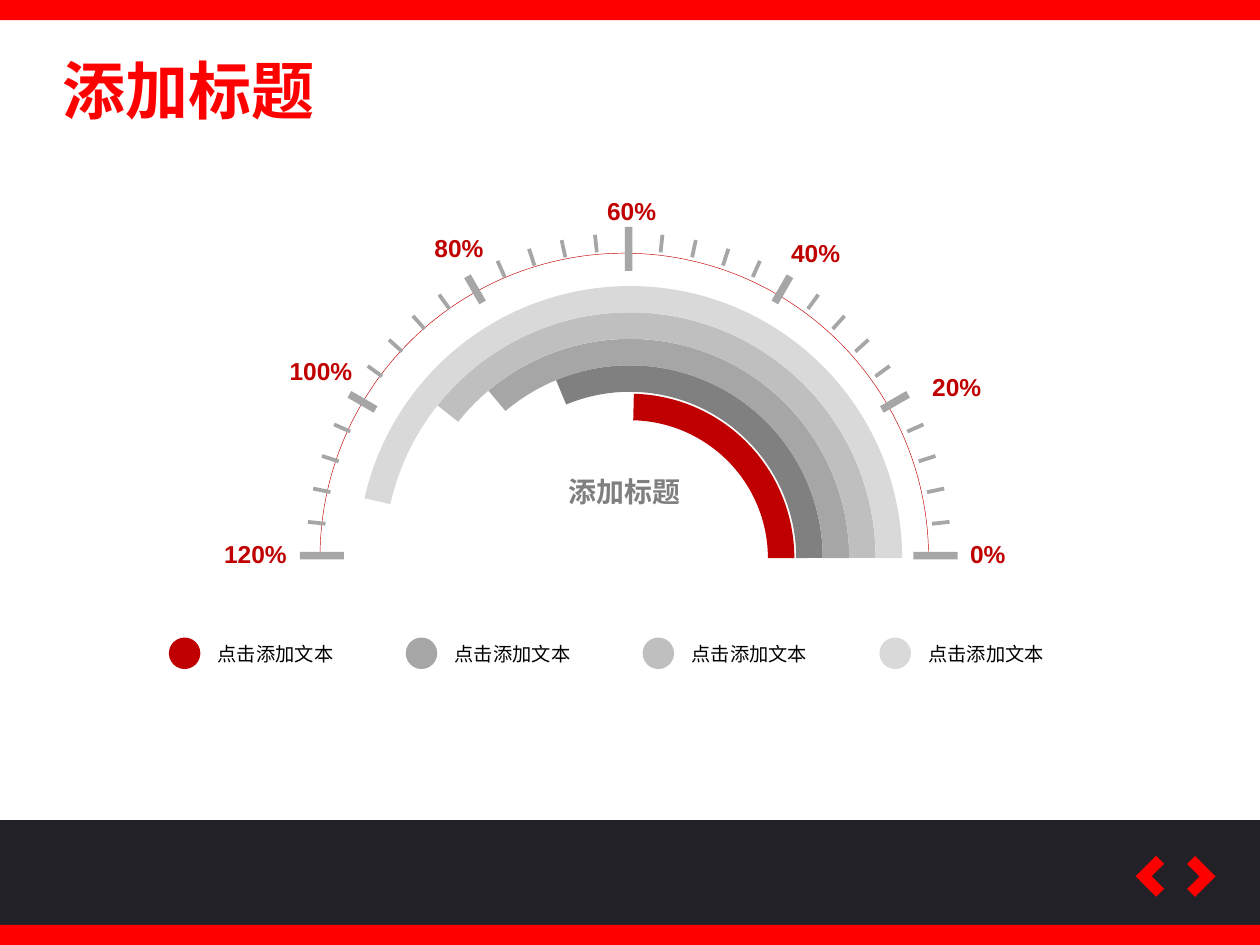
from math import cos, radians, sin

from lxml import etree
from pptx import Presentation
from pptx import util as u
from pptx.dml.color import RGBColor
from pptx.enum import shapes, text
from pptx.oxml.ns import qn

W, H = 10, 7.5
RED, DARK_RED, TICK = "FF0000", "C00000", "A6A6A6"
CJK, LATIN = "Noto Sans CJK SC", "Arial"
SHAPE = shapes.MSO_SHAPE

TITLE = "添加标题"
BANDS = [(0, 0.16, RED), (6.51, 0.84, "222127"), (7.34, 0.16, RED)]
CHEVRONS = [(9.06, 45), (9.37, 225)]
CHEVRON_TOP, CHEVRON_SIZE, CHEVRON_ARM = 6.84, 0.23, 0.09
RINGS = [
    (3.06, 247.46, "808080"),
    (3.48, 229.8, "A6A6A6"),
    (3.9, 218.44, "BFBFBF"),
    (4.32, 192.71, "D9D9D9"),
    (2.61, 271.37, DARK_RED),
]
RING_CENTRE, RING_WIDTH = (5, 4.43), 0.21
LEGEND = [(colour, "点击添加文本") for colour in (DARK_RED, "A6A6A6", "BFBFBF", "D9D9D9")]
LEGEND_LEFT, LEGEND_TOP, LEGEND_PITCH = 1.34, 5.06, 1.88
SCALE_LABELS = [
    ("0%", 7.6, 4.23, 0.49),
    ("20%", 7.3, 2.9, 0.59),
    ("40%", 6.18, 1.84, 0.59),
    ("60%", 4.72, 1.51, 0.6),
    ("80%", 3.35, 1.8, 0.6),
    ("100%", 2.2, 2.78, 0.7),
    ("120%", 1.68, 4.23, 0.7),
]
DIAL_CENTRE = (4.99, 4.41)
TICK_COUNT, TICK_STEP = 31, 6
LONG_TICK, MAJOR_TICK, MINOR_TICK = (2.26, 2.61, 0.06), (2.32, 2.56, 0.06), (2.42, 2.56, 0.03)


def rgb(colour):
    return RGBColor.from_string(colour)


def style(sp, fill):
    sp.shadow.inherit = False
    sp.line.fill.background()
    if fill:
        sp.fill.solid()
        sp.fill.fore_color.rgb = rgb(fill)
    else:
        sp.fill.background()
    return sp


def add_shape(s, kind, box, fill=None, adjustments=()):
    sp = style(s.shapes.add_shape(kind, *map(u.Inches, box)), fill)
    for i, value in enumerate(adjustments):
        sp.adjustments[i] = value
    return sp


def add_outline(s, polygons, fill):
    contours = [[(u.Inches(x), u.Inches(y)) for x, y in polygon] for polygon in polygons]
    builder = s.shapes.build_freeform(*contours[0][0])
    for i, (first, *rest) in enumerate(contours):
        if i:
            builder.move_to(*first)
        builder.add_line_segments(rest, close=True)
    return style(builder.convert_to_shape(), fill)


def add_text(s, words, box, size, colour, font=CJK, bold=False, wrap=False):
    sp = s.shapes.add_textbox(*map(u.Inches, box))
    tf = sp.text_frame
    tf.text = words
    tf.word_wrap = wrap
    tf.auto_size = text.MSO_AUTO_SIZE.SHAPE_TO_FIT_TEXT
    p = tf.paragraphs[0]
    r = p.runs[0]
    r.font.size, r.font.bold, r.font.name = u.Pt(size), bold, font
    r.font.color.rgb = rgb(colour)
    etree.SubElement(r.font._element, qn("a:ea")).set("typeface", font)
    return p


def arc_adjustment(degrees):
    return degrees * 0.6


def tick_corners(i):
    inner, outer, width = LONG_TICK if i % 15 == 0 else MAJOR_TICK if i % 5 == 0 else MINOR_TICK
    a, half = radians(i * TICK_STEP), width / 2
    corners = [(inner, -half), (outer, -half), (outer, half), (inner, half)]
    return [
        (DIAL_CENTRE[0] + r * cos(a) + t * sin(a), DIAL_CENTRE[1] - r * sin(a) + t * cos(a))
        for r, t in corners
    ]


def add_chevron(s, left, angle):
    right, bottom = left + CHEVRON_SIZE, CHEVRON_TOP + CHEVRON_SIZE
    bend_x, bend_y = left + CHEVRON_ARM, bottom - CHEVRON_ARM
    corners = [(left, CHEVRON_TOP), (bend_x, CHEVRON_TOP), (bend_x, bend_y),
               (right, bend_y), (right, bottom), (left, bottom)]
    add_outline(s, [corners], RED).rotation = angle


def add_dial(s):
    for d, start, colour in RINGS:
        box = (RING_CENTRE[0] - d / 2, RING_CENTRE[1] - d / 2, d, d)
        add_shape(s, SHAPE.BLOCK_ARC, box, colour,
                  (arc_adjustment(start), arc_adjustment(359.97), RING_WIDTH / d))
    rim = add_shape(s, SHAPE.ARC, (2.54, 2.01, 4.83, 4.83),
                    adjustments=(arc_adjustment(180), 0))
    rim.line.color.rgb = rgb(DARK_RED)
    rim.line.width = u.Pt(0.25)
    add_outline(s, [tick_corners(i) for i in range(TICK_COUNT)], TICK)

    p = add_text(s, TITLE, (4.27, 3.72, 1.37, 0.37), 16, "7F7F7F", bold=True, wrap=True)
    p.alignment = text.PP_ALIGN.CENTER
    for label, left, top, width in SCALE_LABELS:
        add_text(s, label, (left, top, width, 0.34), 14, DARK_RED, LATIN, True)


def main():
    """Build the gauge slide and save it."""
    prs = Presentation()
    prs.slide_width, prs.slide_height = u.Inches(W), u.Inches(H)
    s = prs.slides.add_slide(prs.slide_layouts[6])
    for top, height, colour in BANDS:
        add_shape(s, SHAPE.RECTANGLE, (0, top, W, height), colour)
    for left, angle in CHEVRONS:
        add_chevron(s, left, angle)
    add_dial(s)
    for i, (colour, label) in enumerate(LEGEND):
        left = LEGEND_LEFT + i * LEGEND_PITCH
        add_shape(s, SHAPE.OVAL, (left, LEGEND_TOP, 0.25, 0.25), colour)
        add_text(s, label, (left + 0.29, LEGEND_TOP - 0.01, 1.13, 0.29), 11, "000000")
    add_text(s, TITLE, (0.4, 0.36, 2.22, 0.71), 36, RED, bold=True)
    prs.save("out.pptx")


if __name__ == "__main__":
    main()
